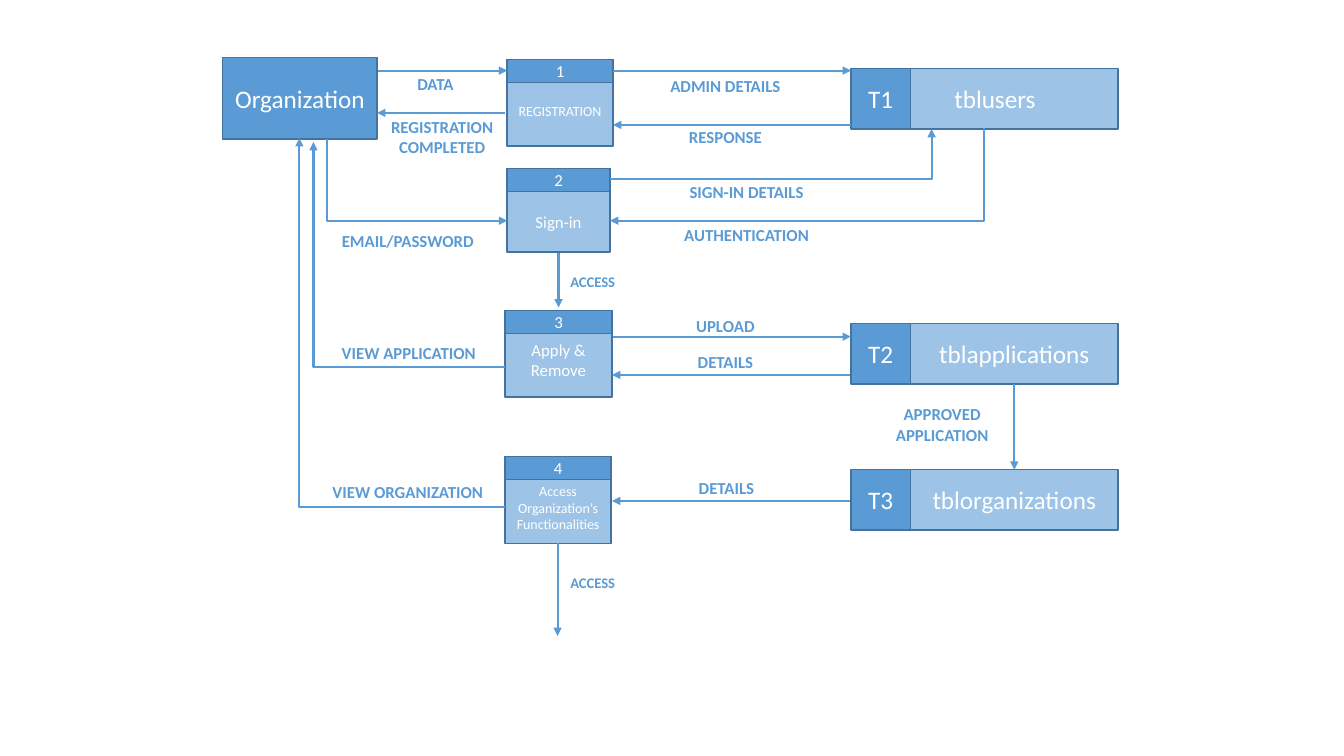
from pptx import Presentation
from pptx.dml.color import RGBColor
from pptx.enum.shapes import MSO_CONNECTOR, MSO_SHAPE
from pptx.enum.text import MSO_ANCHOR, PP_ALIGN
from pptx.oxml.ns import qn
from pptx.util import Inches, Pt
from lxml import etree

RECT, LINE = MSO_SHAPE.RECTANGLE, MSO_CONNECTOR.STRAIGHT
LEFT, MID, RIGHT = PP_ALIGN.LEFT, PP_ALIGN.CENTER, PP_ALIGN.RIGHT
TOP, MIDDLE = MSO_ANCHOR.TOP, MSO_ANCHOR.MIDDLE
BLUE = RGBColor(0x5B, 0x9B, 0xD5)
PALE = RGBColor(0x9D, 0xC3, 0xE6)
EDGE = RGBColor(0x43, 0x73, 0x9E)
WHITE = RGBColor(0xFF, 0xFF, 0xFF)
FONT = "Calibri"

# number, title, size, left, top, width, height, bottom inset
STEPS = [
    ("1", "REGISTRATION", 10, 5.03, 0.59, 1.05, 0.86, 0.06),
    ("2", "Sign-in", 12, 5.03, 1.67, 1.02, 0.83, 0),
    ("3", "Apply & Remove", 12, 5.01, 3.08, 1.06, 0.86, 0.11),
    ("4", "Access Organization\u2019s Functionalities", 10,
     5.01, 4.53, 1.05, 0.86, 0.08),
]
# tag, name, top, right inset
TABLES = [
    ("T1", "tblusers", 0.68, 0.48),
    ("T2", "tblapplications", 3.21, 0.1),
    ("T3", "tblorganizations", 4.66, 0.1),
]
# text, left, top, width, alignment, size
LABELS = [
    ("DATA", 4.04, 0.68, 0.88, LEFT, 12),
    ("REGISTRATION COMPLETED", 3.74, 1.11, 1.29, MID, 12),
    ("EMAIL/PASSWORD", 3.04, 2.24, 2.01, MID, 12),
    ("VIEW APPLICATION", 3.05, 3.35, 2.01, MID, 12),
    ("VIEW ORGANIZATION", 3.04, 4.73, 2.01, MID, 12),
    ("ADMIN DETAILS", 6.19, 0.7, 2.01, MID, 12),
    ("RESPONSE", 6.19, 1.21, 2.01, MID, 12),
    ("SIGN-IN DETAILS", 6.4, 1.75, 2.01, MID, 12),
    ("AUTHENTICATION", 6.4, 2.18, 2.01, MID, 12),
    ("UPLOAD", 6.19, 3.08, 2.01, MID, 12),
    ("DETAILS", 6.19, 3.44, 2.01, MID, 12),
    ("DETAILS", 6.2, 4.69, 2.01, MID, 12),
    ("APPROVED APPLICATION", 8.41, 3.96, 1.87, MID, 12),
    ("ACCESS", 4.19, 2.66, 2.01, RIGHT, 10.5),
    ("ACCESS", 4.19, 5.64, 2.01, RIGHT, 10.5),
]
FLOWS = [
    (3.75, 0.7, 5.03, 0.7), (5.01, 1.12, 3.74, 1.12),
    (6.08, 0.7, 8.44, 0.7), (8.44, 1.24, 6.08, 1.24),
    (5.54, 2.51, 5.54, 3.05), (5.53, 5.39, 5.53, 6.31),
    (6.08, 3.34, 8.44, 3.34), (8.43, 3.72, 6.07, 3.72),
    (8.43, 4.97, 6.07, 4.97), (10.06, 3.81, 10.06, 4.66),
]
# level end, upright end, arrow end
BENDS = [
    (5.03, 2.19, 3.24, 1.38, "headEnd"),
    (5.01, 5.03, 2.97, 1.37, "tailEnd"),
    (5.01, 3.64, 3.11, 1.41, "tailEnd"),
    (6.05, 1.78, 9.24, 1.28, "tailEnd"),
    (6.05, 2.19, 9.76, 1.27, "headEnd"),
]

deck = Presentation()
deck.slide_width, deck.slide_height = Inches(13.33), Inches(7.5)
slide = deck.slides.add_slide(deck.slide_layouts[6])
shapes = slide.shapes


def write(item, text, size, color, align=MID, bold=False, anchor=MIDDLE):
    frame = item.text_frame
    frame.word_wrap = True
    frame.vertical_anchor = anchor
    frame.text = text
    para = frame.paragraphs[0]
    para.alignment = align
    font = para.font
    font.name, font.size, font.bold = FONT, Pt(size), bold
    font.color.rgb = color
    return frame


def box(place, fill, text, size):
    item = shapes.add_shape(RECT, *map(Inches, place))
    item.shadow.inherit = False
    item.fill.solid()
    item.fill.fore_color.rgb = fill
    item.line.color.rgb = EDGE
    item.line.width = Pt(1)
    frame = write(item, text, size, WHITE)
    frame.margin_top = frame.margin_bottom = 0
    return frame


def arrow(ends, tip="tailEnd", bent=False):
    item = shapes.add_connector(LINE, *map(Inches, ends))
    item.line.color.rgb = BLUE
    item.line.width = Pt(1.5)
    props = item._element.spPr
    if bent:
        props.find(qn("a:prstGeom")).set("prst", "bentConnector2")
    etree.SubElement(props.find(qn("a:ln")), qn("a:" + tip), type="triangle")
    etree.SubElement(props, qn("a:effectLst"))


box((2.21, 0.57, 1.53, 0.81), BLUE, "Organization", 18)

HEAD = 0.23
for num, title, size, left, top, width, height, inset in STEPS:
    body = box((left, top, width, height), PALE, title, size)
    body.margin_top, body.margin_bottom = Inches(HEAD), Inches(inset)
    box((left, top, width, HEAD), BLUE, num, 12)

for tag, name, top, inset in TABLES:
    body = box((9.03, top, 2.06, 0.6), PALE, name, 18)
    body.margin_right = Inches(inset)
    box((8.44, top, 0.59, 0.6), BLUE, tag, 18)

for ends in FLOWS:
    arrow(ends)
for *ends, tip in BENDS:
    arrow(ends, tip, True)

for text, left, top, width, align, size in LABELS:
    height = 0.5 if " " in text and width < 2 else 0.3
    label = shapes.add_textbox(*map(Inches, (left, top, width, height)))
    write(label, text, size, BLUE, align, True, TOP)

deck.save("out.pptx")
